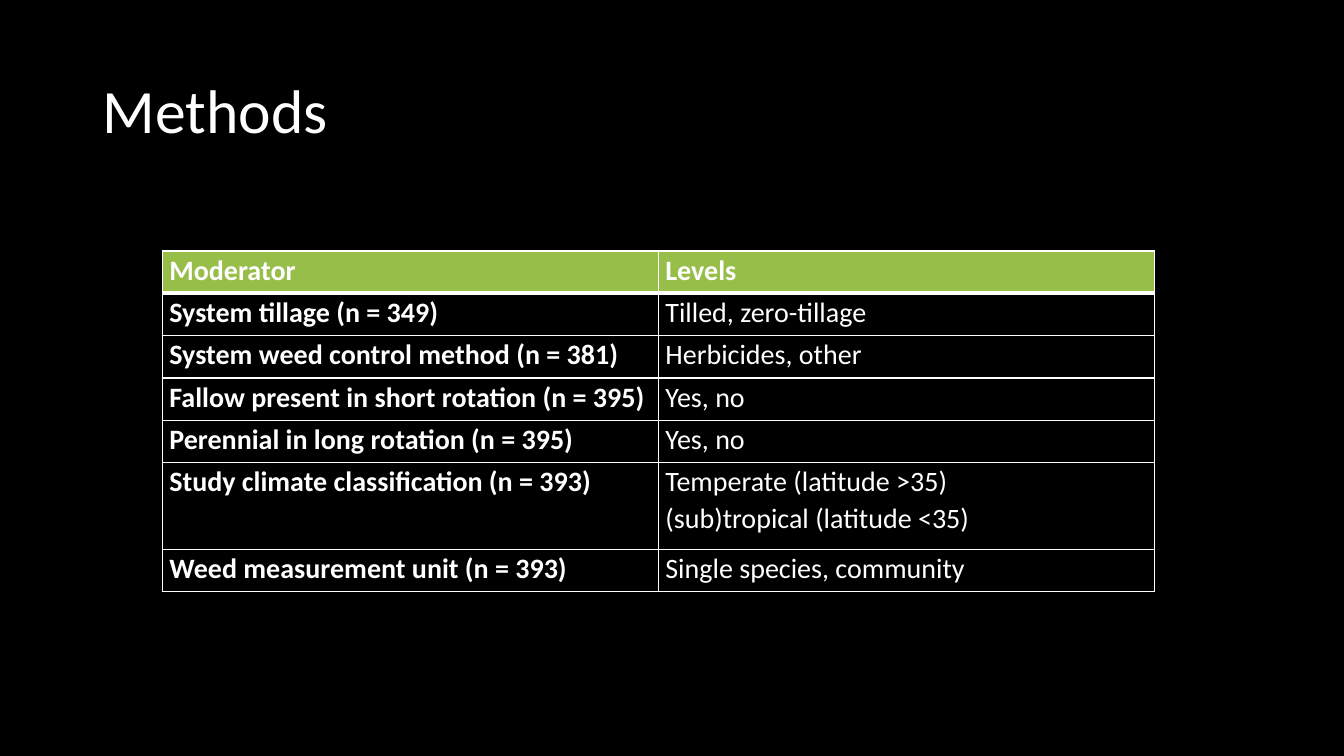
from pptx import Presentation
from pptx.dml.color import RGBColor
from pptx.enum.text import MSO_ANCHOR, PP_ALIGN
from pptx.util import Inches, Pt
from lxml.etree import SubElement
from pptx.oxml.ns import qn

TITLE = "Methods"
ROWS = [
    ("Moderator", "Levels"),
    ("System tillage (n = 349)", "Tilled, zero-tillage"),
    ("System weed control method (n = 381)", "Herbicides, other"),
    ("Fallow present in short rotation (n = 395)", "Yes, no"),
    ("Perennial in long rotation (n = 395)", "Yes, no"),
    ("Study climate classification (n = 393)",
     "Temperate (latitude >35)\n(sub)tropical (latitude <35)"),
    ("Weed measurement unit (n = 393)", "Single species, community"),
]
THEME = {
    "font": "Calibri", "back": "000000", "ink": "FFFFFF", "head": "97BE49",
    "title": 44, "body": 20, "thin": 1, "thick": 3,
}
LEFT, TOP, COL = 1.61, 2.49, 4.92
LINE, EXTRA = 0.42, 0.44
CELL = {"margin_left": Inches(0.07), "margin_right": Inches(0.07),
        "margin_top": 0, "margin_bottom": 0, "vertical_anchor": MSO_ANCHOR.TOP}


def tint(name):
    return RGBColor.from_string(THEME[name])


def apply(item, form):
    for key, value in form.items():
        setattr(item, key, value)


def write(frame, text, size, bold, space):
    frame.text = text
    for para in frame.paragraphs:
        apply(para, {"line_spacing": space, "alignment": PP_ALIGN.LEFT})
        font = para.runs[0].font
        apply(font, {"name": THEME["font"], "size": Pt(THEME[size]), "bold": bold})
        font.color.rgb = tint("ink")


def border(cell, widths):
    props = cell._tc.get_or_add_tcPr()
    for side, width in widths.items():
        line = SubElement(props, qn(f"a:ln{side}"), w=str(Pt(THEME[width])))
        fill = SubElement(line, qn("a:solidFill"))
        SubElement(fill, qn("a:srgbClr"), val=THEME["ink"])


def height(row):
    return LINE + EXTRA * max(text.count("\n") for text in row)


deck = Presentation()
apply(deck, {"slide_width": Inches(13.33), "slide_height": Inches(7.5)})
slide = deck.slides.add_slide(deck.slide_layouts[5])
slide.background.fill.solid()
slide.background.fill.fore_color.rgb = tint("back")

title = slide.shapes.title
apply(title, {"left": Inches(0.92), "top": Inches(0.4),
              "width": Inches(11.5), "height": Inches(1.45)})
write(title.text_frame, TITLE, "title", False, 0.9)
title.text_frame.vertical_anchor = MSO_ANCHOR.MIDDLE

grid = slide.shapes.add_table(
    len(ROWS), 2, Inches(LEFT), Inches(TOP), Inches(2 * COL),
    Inches(sum(map(height, ROWS)))).table
grid.horz_banding = False
for col in grid.columns:
    col.width = Inches(COL)
for r, row in enumerate(ROWS):
    grid.rows[r].height = Inches(height(row))
    for c, text in enumerate(row):
        cell = grid.cell(r, c)
        apply(cell, CELL)
        write(cell.text_frame, text, "body", r == 0 or c == 0, 1.07)
        border(cell, {"L": "thin", "R": "thin",
                      "T": "thick" if r == 1 else "thin",
                      "B": "thick" if r == 0 else "thin"})
        if r == 0:
            cell.fill.solid()
            cell.fill.fore_color.rgb = tint("head")
        else:
            cell.fill.background()

deck.save("out.pptx")
